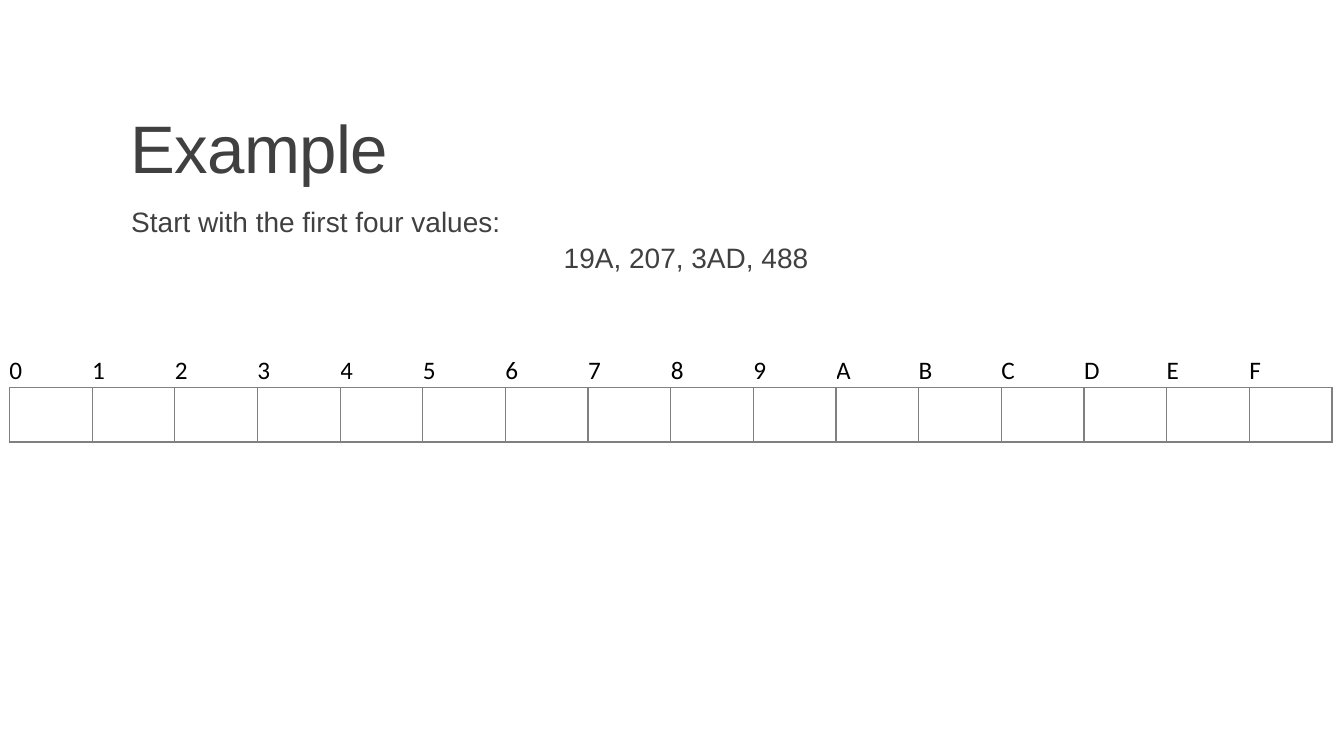
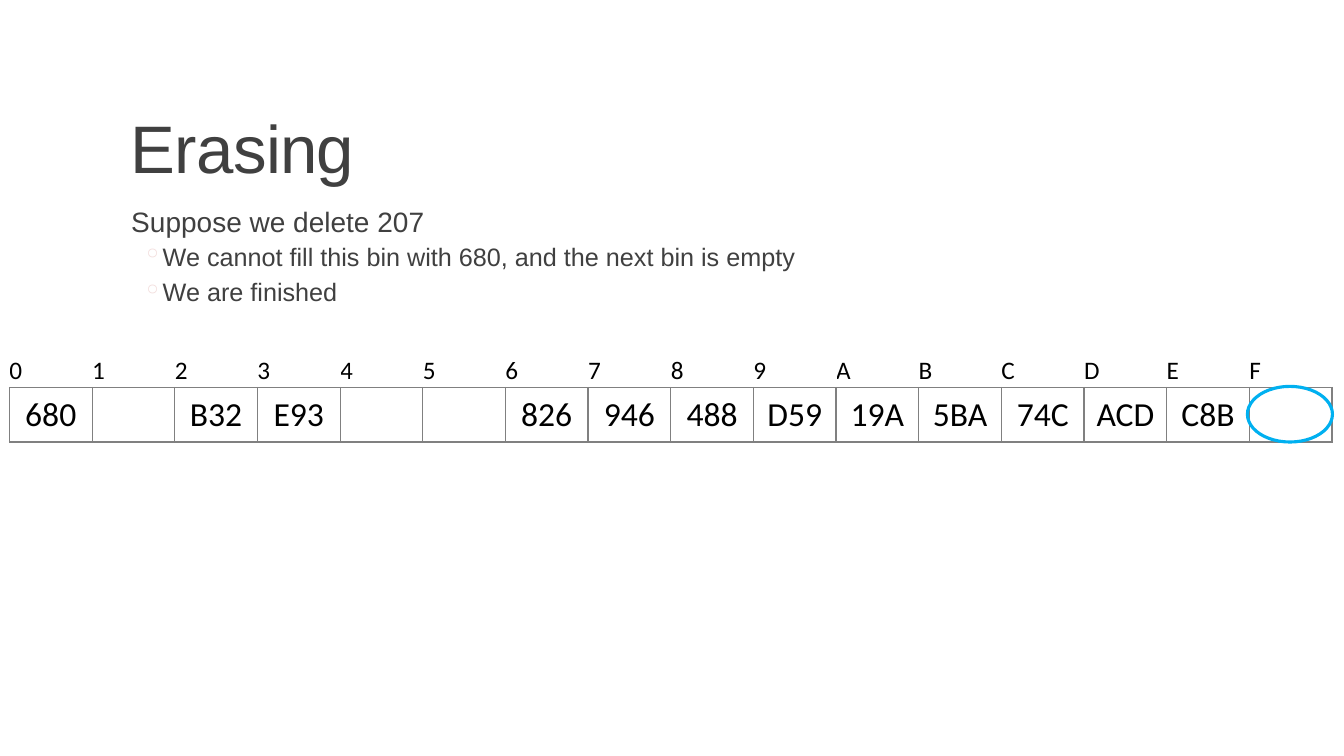
from dataclasses import dataclass

from lxml.etree import SubElement
from pptx import Presentation
from pptx.dml.color import RGBColor
from pptx.enum.shapes import MSO_SHAPE as Shape
from pptx.enum.text import MSO_ANCHOR as Anchor, MSO_AUTO_SIZE as AutoSize, PP_ALIGN as Align
from pptx.oxml.ns import qn
from pptx.util import Emu, Pt


@dataclass(frozen=True)
class Theme:
    text: str = "404040"
    table_text: str = "000000"
    border: str = "808080"
    bullet: str = "F2DCDB"
    highlight: str = "00B0F0"
    text_font: str = "Arial"
    table_font: str = "Calibri"
    title_size: int = 48
    lead_size: int = 20
    bullet_size: int = 18
    label_size: int = 18
    value_size: int = 24


THEME = Theme()
PX = 9525  # 96 px to the inch

BINS = "0123456789ABCDEF"
TABLE_LEFT, TABLE_TOP, TABLE_WIDTH = 9, 337, 1260
LABEL_HEIGHT, BIN_HEIGHT = 32, 52

# Each slide: title, lead line, further lines, whether they are bullets, bin values, circled bin
SLIDES = [
    ("Example", "Start with the first four values:", ["19A, 207, 3AD, 488"], False, {}, None),
    ("Erasing", "Suppose we delete 207",
     ["We cannot fill this bin with 680, and the next bin is empty", "We are finished"], True,
     {"0": "680", "2": "B32", "3": "E93", "6": "826", "7": "946", "8": "488", "9": "D59",
      "A": "19A", "B": "5BA", "C": "74C", "D": "ACD", "E": "C8B"}, "F"),
]


def format_runs(paragraph, font_name, size, color):
    for run in paragraph.runs:
        run.font.name = font_name
        run.font.size = Pt(size)
        run.font.color.rgb = RGBColor.from_string(color)


def add_borders(cell, sides):
    properties = cell._tc.get_or_add_tcPr()
    for side in sides:
        line = SubElement(properties, qn(f"a:ln{side}"), w=str(Pt(1)))
        fill = SubElement(line, qn("a:solidFill"))
        SubElement(fill, qn("a:srgbClr"), val=THEME.border)


presentation = Presentation()
presentation.slide_width = Emu(1280 * PX)
presentation.slide_height = Emu(720 * PX)
title_only = presentation.slide_layouts[5]

for title_text, lead, lines, bulleted, values, circled in SLIDES:
    slide = presentation.slides.add_slide(title_only)

    # Title
    title = slide.shapes.title
    title.left, title.top, title.width, title.height = (
        Emu(length * PX) for length in (115, 30, 1056, 153))
    frame = title.text_frame
    frame.text = title_text
    frame.auto_size = AutoSize.NONE
    frame.vertical_anchor = Anchor.BOTTOM
    paragraph = frame.paragraphs[0]
    paragraph.alignment = Align.LEFT
    paragraph.line_spacing = 0.85
    format_runs(paragraph, THEME.text_font, THEME.title_size, THEME.text)
    paragraph.runs[0]._r.get_or_add_rPr().set("spc", "-50")

    # Body text
    body = slide.shapes.add_textbox(*(Emu(length * PX) for length in (115, 194, 1056, 422)))
    frame = body.text_frame
    frame.word_wrap = True
    frame.margin_left = frame.margin_right = 0
    frame.text = "\n".join([lead, *lines])
    for index, paragraph in enumerate(frame.paragraphs):
        is_lead = index == 0
        properties = paragraph._p.get_or_add_pPr()
        properties.set("marL", str((10 if is_lead else 40) * PX))
        properties.set("indent", str((0 if is_lead else -19) * PX))
        if bulleted and not is_lead:
            bullet_color = SubElement(properties, qn("a:buClr"))
            SubElement(bullet_color, qn("a:srgbClr"), val=THEME.bullet)
            SubElement(properties, qn("a:buChar"), char="◦")
        elif not is_lead:
            paragraph.alignment = Align.CENTER
        paragraph.line_spacing = 0.9
        paragraph.space_before = Pt(0 if is_lead else 2)
        paragraph.space_after = Pt(2 if is_lead else 4)
        size = THEME.bullet_size if bulleted and not is_lead else THEME.lead_size
        format_runs(paragraph, THEME.text_font, size, THEME.text)

    # Hash table: bin labels above bin values
    table = slide.shapes.add_table(
        2, len(BINS), Emu(TABLE_LEFT * PX), Emu(TABLE_TOP * PX),
        Emu(TABLE_WIDTH * PX), Emu((LABEL_HEIGHT + BIN_HEIGHT) * PX)).table
    table.first_row = table.horz_banding = False
    table.rows[0].height = Emu(LABEL_HEIGHT * PX)
    table.rows[1].height = Emu(BIN_HEIGHT * PX)
    for column, label in enumerate(BINS):
        table.columns[column].width = Emu(TABLE_WIDTH * PX // len(BINS))
        cell_styles = [
            (label, THEME.label_size, Align.LEFT, "B"),
            (values.get(label, ""), THEME.value_size, Align.CENTER, "LRTB"),
        ]
        for row, (text, size, alignment, sides) in enumerate(cell_styles):
            cell = table.cell(row, column)
            cell.text = text
            cell.vertical_anchor = Anchor.MIDDLE
            cell.margin_left = cell.margin_right = cell.margin_top = cell.margin_bottom = 0
            paragraph = cell.text_frame.paragraphs[0]
            paragraph.alignment = alignment
            format_runs(paragraph, THEME.table_font, size, THEME.table_text)
            add_borders(cell, sides)
            cell.fill.background()

    # Ring around the bin in question
    if circled:
        ring_left = TABLE_LEFT + BINS.index(circled) * TABLE_WIDTH // len(BINS) - 2
        ring_top = TABLE_TOP + LABEL_HEIGHT - 1
        ring = slide.shapes.add_shape(
            Shape.OVAL, *(Emu(length * PX) for length in (ring_left, ring_top, 81, 53)))
        ring.shadow.inherit = False
        ring.fill.background()
        ring.line.color.rgb = RGBColor.from_string(THEME.highlight)
        ring.line.width = Pt(2.25)

presentation.save("out.pptx")
